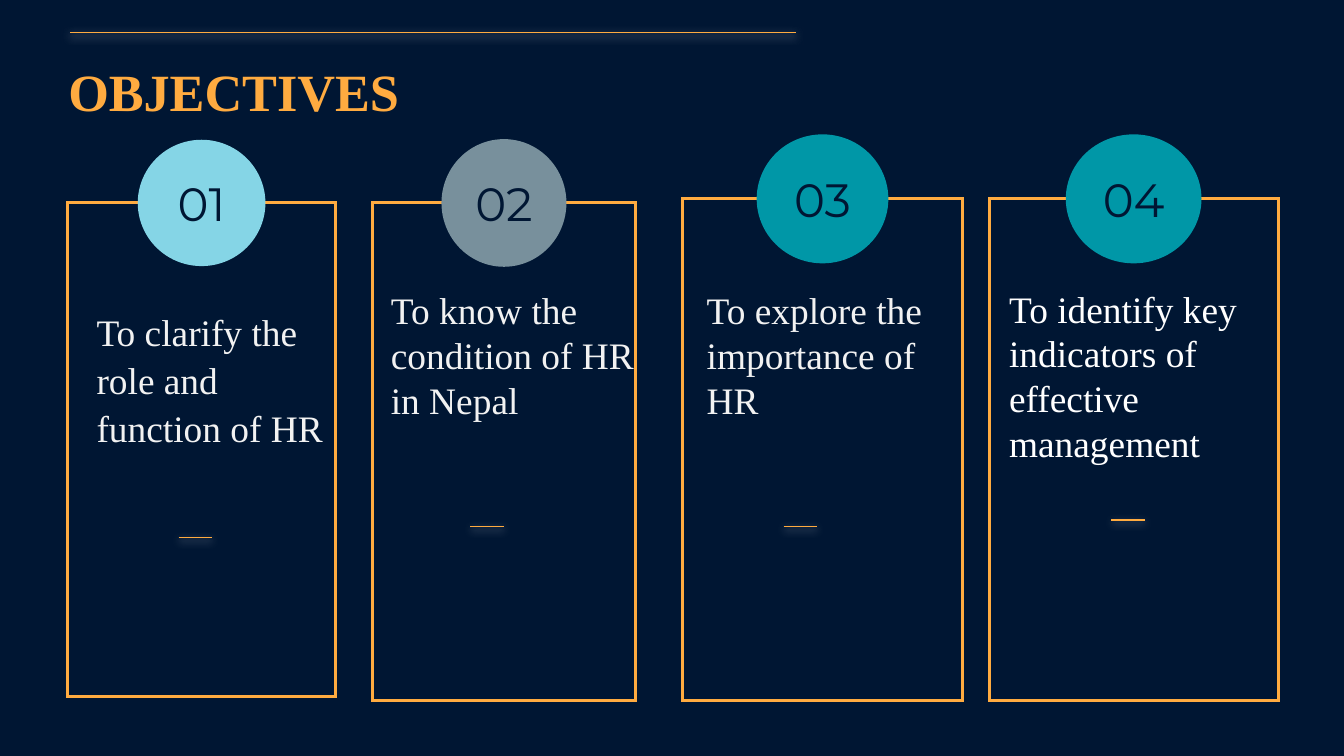
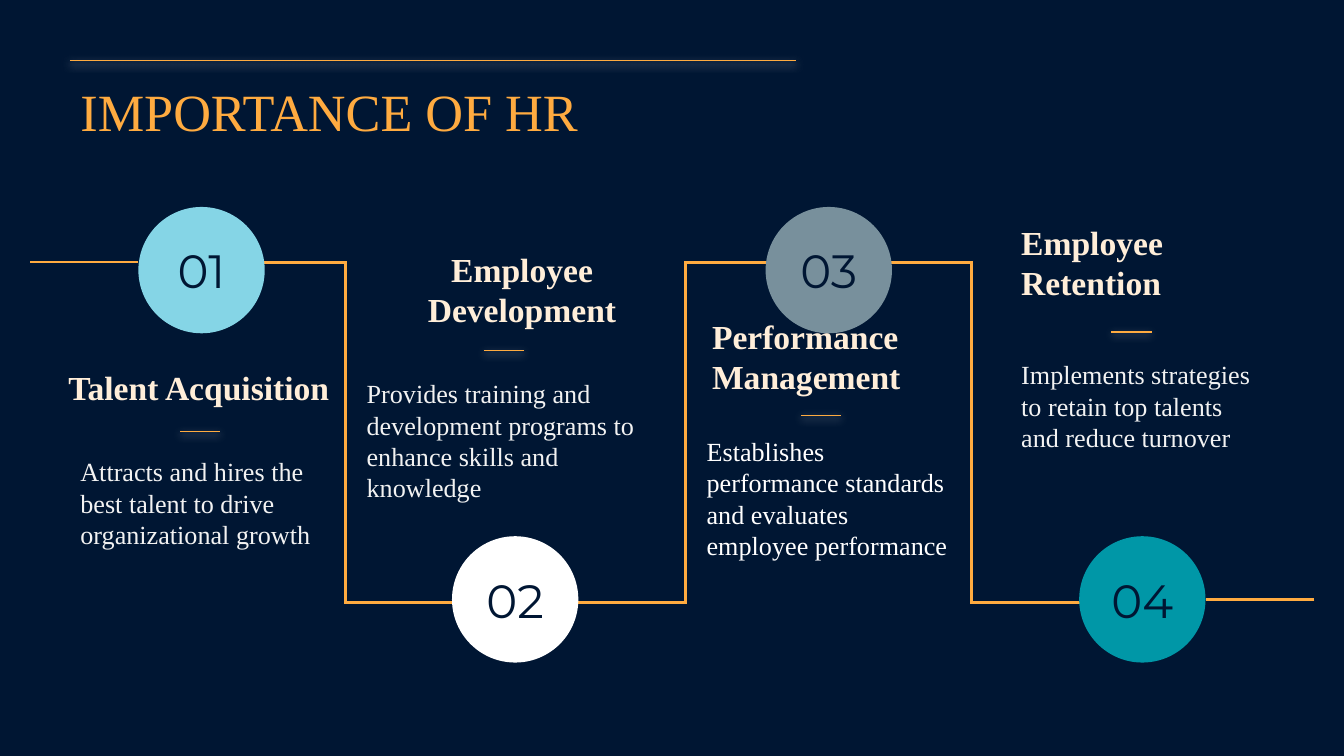
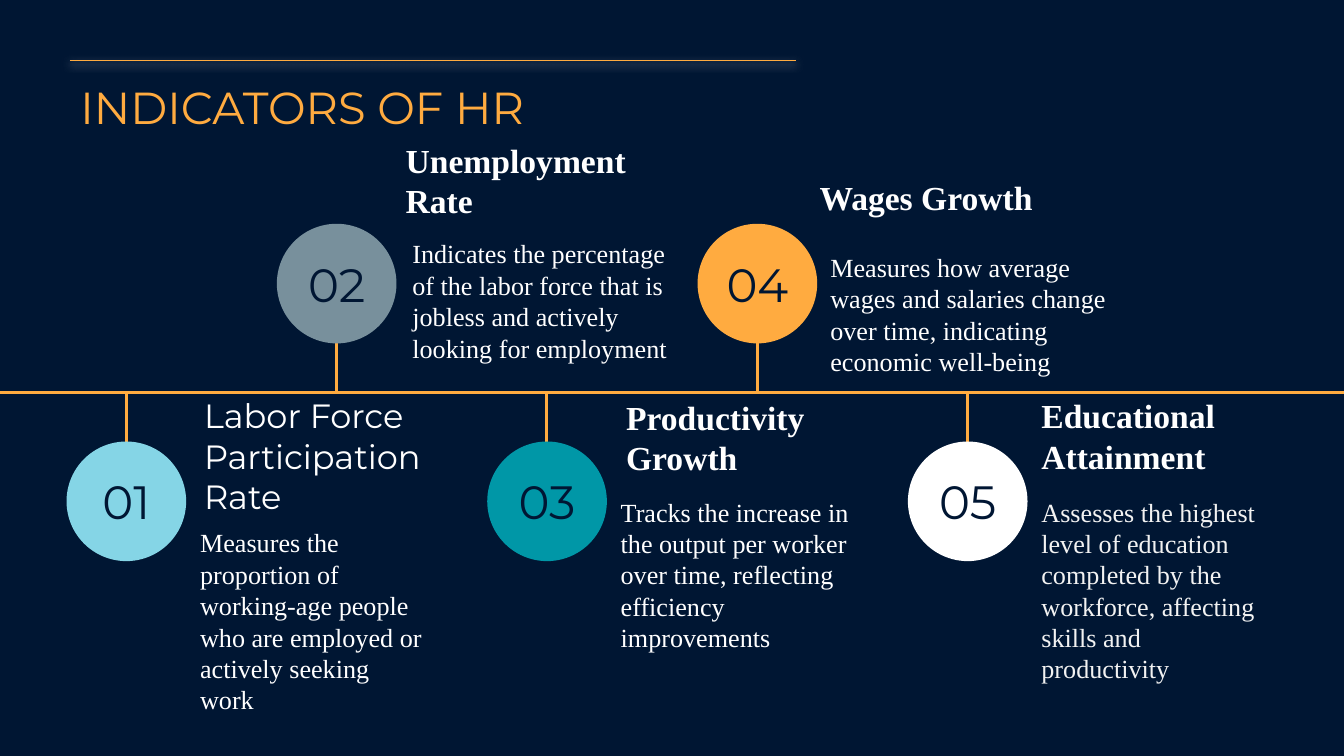
import dataclasses

import lxml.etree
import pptx
import pptx.dml.color
import pptx.enum.shapes
import pptx.enum.text
import pptx.oxml
import pptx.oxml.ns
import pptx.util

Inches = pptx.util.Inches
Pt = pptx.util.Pt
ALIGN = pptx.enum.text.PP_ALIGN
ANCHOR = pptx.enum.text.MSO_ANCHOR
SHAPE = pptx.enum.shapes.MSO_SHAPE
qn = pptx.oxml.ns.qn


@dataclasses.dataclass(frozen=True)
class Theme:
    """Colours, fonts, type sizes and line widths of the deck."""
    navy: str = "001633"
    orange: str = "FFAB40"
    sky: str = "85D5E6"
    slate: str = "78909C"
    teal: str = "0097A7"
    white: str = "FFFFFF"
    soft: str = "F2F2F2"
    cream: str = "FFEED9"
    serif: str = "Times New Roman"
    sans: str = "Montserrat"
    title: int = 28
    title_sans: int = 24
    number: int = 25
    goal: int = 20
    head: int = 18
    body: int = 14
    hairline: float = 0.75
    tail: float = 1.5
    frame: float = 1.6


T = Theme()


def rgb(value):
    """Return a colour from its hex value."""
    return pptx.dml.color.RGBColor.from_string(value)


def apply(obj, fmt):
    """Set each attribute named in fmt on obj."""
    for name, value in fmt.items():
        setattr(obj, name, value)


def write(sp, text, size, color, font=T.serif, bold=False, anchor=ANCHOR.TOP,
          wrap=True, para=None):
    """Put one formatted paragraph into a shape."""
    tf = sp.text_frame
    margins = dict.fromkeys(
        ("margin_left", "margin_top", "margin_right", "margin_bottom"), Inches(0.1))
    apply(tf, {"word_wrap": wrap, "vertical_anchor": anchor, **margins})
    p = tf.paragraphs[0]
    apply(p, para or {"alignment": ALIGN.LEFT})
    r = p.add_run()
    r.text = text
    apply(r.font, {"name": font, "size": Pt(size), "bold": bold})
    r.font.color.rgb = rgb(color)


def add_text(s, box, text, size, color, **fmt):
    """Add a text box."""
    write(s.shapes.add_textbox(*map(Inches, box)), text, size, color, **fmt)


def add_head(s, box, text, color=T.white, **fmt):
    """Add a bottom-anchored item heading."""
    add_text(s, box, text, T.head, color, **{"bold": True, "anchor": ANCHOR.BOTTOM, **fmt})


def outline(sp):
    """Give a shape a sharp orange outline without fill or shadow."""
    sp.shadow.inherit = False
    sp.fill.background()
    sp.line.color.rgb = rgb(T.orange)
    sp.line.width = Pt(T.frame)
    lxml.etree.SubElement(sp.line._get_or_add_ln(), qn("a:miter"), lim="800000")


def add_frame(s, x, y, w, h):
    """Add an outlined card."""
    outline(s.shapes.add_shape(SHAPE.RECTANGLE, *map(Inches, (x, y, w, h))))


def add_path(s, points):
    """Add an open orange polyline."""
    start, *rest = [(Inches(x), Inches(y)) for x, y in points]
    fb = s.shapes.build_freeform(*start)
    fb.add_line_segments(rest, close=False)
    outline(fb.convert_to_shape())


def add_circle(s, cx, cy, w, h, number, color):
    """Add a numbered circle around a centre."""
    sp = s.shapes.add_shape(SHAPE.OVAL, *map(Inches, (cx - w / 2, cy - h / 2, w, h)))
    sp.shadow.inherit = False
    sp.fill.solid()
    sp.fill.fore_color.rgb = rgb(color)
    sp.line.fill.background()
    write(sp, f"{number:02d}", T.number, T.navy, font=T.sans, anchor=ANCHOR.MIDDLE,
          wrap=False, para={"alignment": ALIGN.CENTER})


def add_line(s, x1, y1, x2, y2, width=T.hairline, glow=False):
    """Add an orange line, with a soft white shadow if glow is set."""
    ln = s.shapes.add_connector(pptx.enum.shapes.MSO_CONNECTOR.STRAIGHT,
                                *map(Inches, (x1, y1, x2, y2)))
    ln.line.color.rgb = rgb(T.orange)
    ln.line.width = Pt(width)
    effects = lxml.etree.SubElement(ln._element.spPr, qn("a:effectLst"))
    if glow:
        shadow = lxml.etree.SubElement(
            effects, qn("a:outerShdw"), blurRad=str(Pt(4.5)), dist=str(Pt(1.5)),
            dir="5400000", algn="bl", rotWithShape="0")
        color = lxml.etree.SubElement(shadow, qn("a:srgbClr"), val=T.white)
        lxml.etree.SubElement(color, qn("a:alpha"), val="50000")


def add_dash(s, x, y, w):
    """Add a short glowing divider."""
    add_line(s, x, y, x + w, y, glow=True)


def add_slide(prs, title, box=(0.5, 0.49, 8.75, 0.52), rule_y=0.45, size=T.title, **fmt):
    """Add a navy slide with its rule and title."""
    s = prs.slides.add_slide(prs.slide_layouts[6])
    s.background.fill.solid()
    s.background.fill.fore_color.rgb = rgb(T.navy)
    add_line(s, 0.52, rule_y, 5.92, rule_y, glow=True)
    add_text(s, box, title, size, T.orange, **fmt)
    return s


def build_objectives(prs):
    """Build the four objective cards."""
    s = add_slide(prs, "OBJECTIVES", (0.41, 0.34, 8.84, 0.74), 0.24, bold=True)
    loose = {"line_spacing": 1.07, "space_after": Pt(8)}
    cards = [
        ((0.5, 1.51, 2, 3.67), (0.95, 0.94), T.sky, (1.33, 4), (0.62, 2.12, 2, 1.33),
         "To clarify the role and function of HR", T.soft, loose),
        ((2.77, 1.51, 1.96, 3.7), (0.93, 0.95), T.slate, (3.5, 3.92), (2.81, 2.14, 2.01, 1.1),
         "To know the condition of HR in Nepal", T.soft, None),
        ((5.08, 1.48, 2.08, 3.73), (0.98, 0.96), T.teal, (5.83, 3.92), (5.16, 2.29, 2.2, 0.95),
         "To explore the importance of HR", T.soft, None),
        ((7.36, 1.48, 2.15, 3.73), (1.01, 0.96), T.teal, (8.27, 3.87), (7.41, 2.41, 2.11, 1.15),
         "To identify key indicators of effective management", T.white, None),
    ]
    for i, (frame, disc, fill, dash, box, text, color, para) in enumerate(cards, 1):
        x, y, w, _ = frame
        add_frame(s, *frame)
        add_circle(s, x + w / 2, y, *disc, i, fill)
        add_text(s, box, text, T.goal, color, anchor=ANCHOR.BOTTOM, para=para)
        add_dash(s, *dash, 0.25)


def build_importance(prs):
    """Build the stepped path with four reasons."""
    s = add_slide(prs, "IMPORTANCE OF HR")
    top, bottom, disc = 1.95, 4.48, 0.94
    for start, bend, end in ((1.94, 2.57, 3.4), (6.6, 7.23, 8.06), (5.73, 5.1, 4.27)):
        add_path(s, [(start, top), (bend, top), (bend, bottom), (end, bottom)])
    for i, fill in enumerate((T.sky, T.white, T.slate, T.teal)):
        add_circle(s, 1.5 + 7 / 3 * i, 4.46 if i % 2 else 2.01, disc, disc, i + 1, fill)
    add_line(s, 9.78, 4.46, 8.97, 4.46, T.tail)
    add_line(s, 1.03, top, 0.22, top, T.tail)
    center = {"alignment": ALIGN.CENTER}
    reasons = [
        ((0.41, 2.47, 2.15, 0.66), "Talent Acquisition", None, (1.34, 3.21),
         (0.5, 3.29, 2, 2.16), T.soft,
         "Attracts and hires the best talent to drive organizational growth"),
        ((2.7, 1.79, 2.37, 0.76), "Employee Development", center, (3.6, 2.61),
         (2.63, 2.71, 2.37, 1.28), T.soft,
         "Provides training and development programs to enhance skills and knowledge"),
        ((5.2, 2.39, 2, 0.66), "Performance Management", None, (5.96, 3.09),
         (5.16, 3.14, 2, 2.07), T.white,
         "Establishes performance standards and evaluates employee performance"),
        ((7.5, 1.86, 2, 0.49), "Employee Retention", None, (8.27, 2.47),
         (7.5, 2.57, 2, 1.35), T.soft,
         "Implements strategies to retain top talents and reduce turnover"),
    ]
    for head_box, head, para, dash, box, color, text in reasons:
        add_head(s, head_box, head, T.cream, para=para)
        add_text(s, box, text, T.body, color)
        add_dash(s, *dash, 0.3)


def build_indicators(prs):
    """Build the timeline of five indicators."""
    s = add_slide(prs, "INDICATORS OF HR", size=T.title_sans, font=T.sans)
    axis, stem, disc = 2.92, 0.81, 0.89
    add_line(s, 0, axis, 10, axis, T.frame)
    justified = {"alignment": ALIGN.JUSTIFY}
    indicators = [
        (T.sky, (1.42, 3.34, 1.99, 0.6), "Labor Force Participation Rate",
         {"font": T.sans, "bold": False}, (1.39, 3.82, 1.85, 1.6), T.white,
         "Measures the proportion of working-age people who are employed or actively seeking work"),
        (T.slate, (2.92, 1.02, 2.16, 0.72), "Unemployment Rate",
         {"para": justified}, (2.97, 1.67, 2.16, 1.27), T.white,
         "Indicates the percentage of the labor force that is jobless and actively looking "
         "for employment"),
        (T.teal, (4.56, 2.76, 2.19, 0.89), "Productivity Growth",
         {}, (4.52, 3.59, 2.07, 1.73), T.white,
         "Tracks the increase in the output per worker over time, reflecting efficiency "
         "improvements"),
        (T.orange, (6, 1.26, 2.97, 0.46), "Wages Growth",
         {}, (6.08, 1.77, 2.43, 0.89), T.white,
         "Measures how average wages and salaries change over time, indicating economic "
         "well-being"),
        (T.white, (7.65, 3.04, 1.85, 0.6), "Educational Attainment",
         {}, (7.65, 3.59, 1.85, 1.73), T.soft,
         "Assesses the highest level of education completed by the workforce, affecting "
         "skills and productivity"),
    ]
    for i, (fill, head_box, head, fmt, box, color, text) in enumerate(indicators):
        cx = 0.94 + 6.26 / 4 * i
        cy = axis - stem if i % 2 else axis + stem
        add_line(s, cx, axis, cx, cy, T.frame)
        add_circle(s, cx, cy, disc, disc, i + 1, fill)
        add_head(s, head_box, head, **fmt)
        add_text(s, box, text, T.body, color)


def main():
    """Build and save the deck."""
    prs = pptx.Presentation()
    apply(prs, {"slide_width": Inches(10), "slide_height": Inches(10 * 9 / 16)})
    for build in (build_objectives, build_importance, build_indicators):
        build(prs)
    prs.save("out.pptx")


if __name__ == "__main__":
    main()
